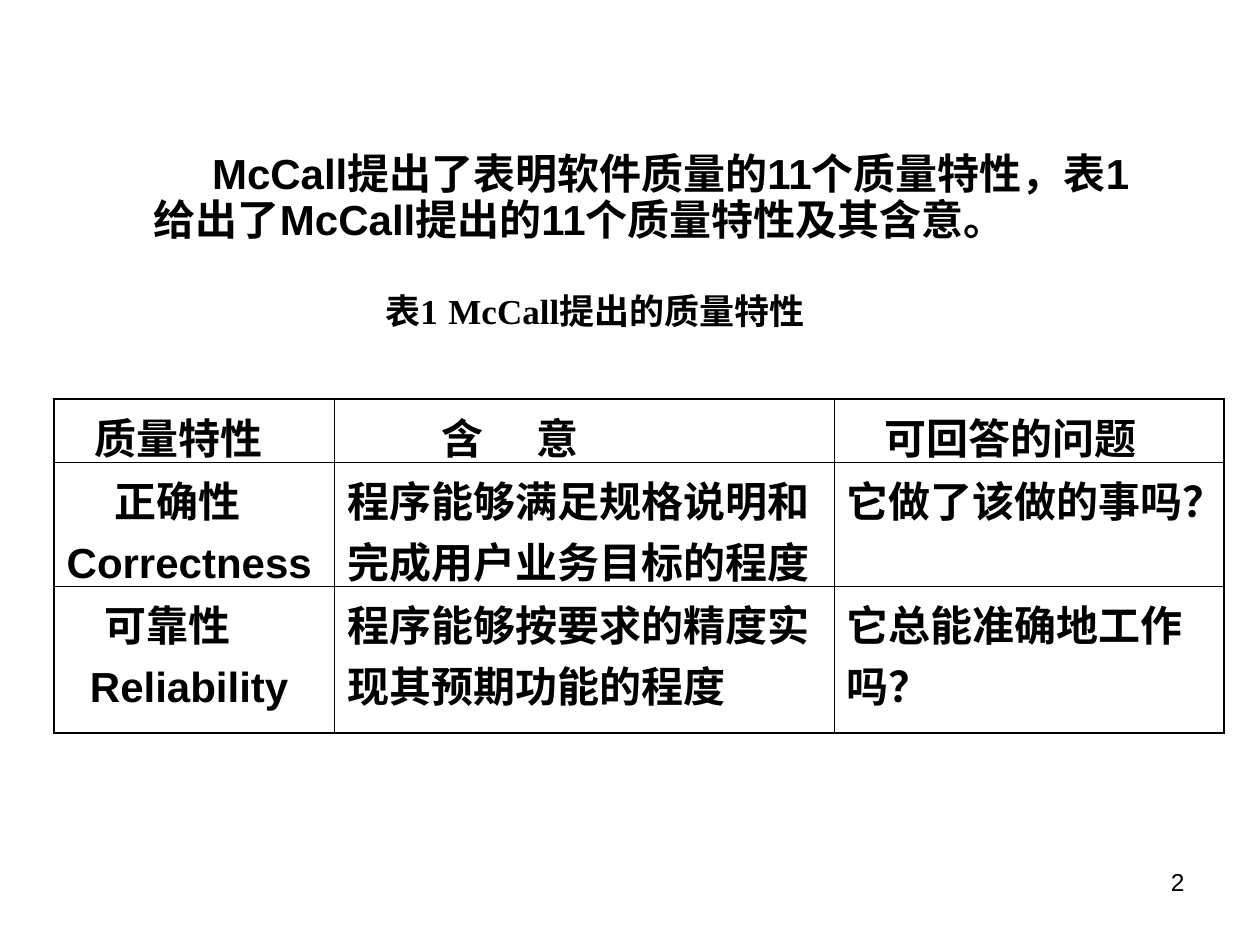
from lxml.etree import SubElement
from pptx import Presentation
from pptx.dml.color import RGBColor
from pptx.enum.text import MSO_ANCHOR, PP_ALIGN
from pptx.oxml.ns import qn
from pptx.util import Cm, Pt

COLORS = {"ink": "000000", "paper": "FFFFFF"}
BODY = {"name": "Arial", "size": Pt(24), "bold": True}
CAPTION = {"name": "Times New Roman", "size": Pt(20), "bold": True}
NUMBER = {"name": "Arial", "size": Pt(14), "bold": False}
THIN, THICK = Pt(0.45), Pt(1.08)

COLUMNS = [5.66, 10.06, 7.87]
ROWS = [1.27, 2.51, 2.95]
CELLS = [
    [[("质量特性", 0.57)], [("含\t意", 1.9)], [("可回答的问题", 0.77)]],
    [[("正确性", 0.97), ("Correctness", 0)],
     [("程序能够满足规格说明和完成用户业务目标的程度", 0)],
     [("它做了该做的事吗？", 0)]],
    [[("可靠性", 0.77), ("Reliability", 0.47)],
     [("程序能够按要求的精度实现其预期功能的程度", 0)],
     [("它总能准确地工作吗？", 0)]],
]


def write(p, text, style, indent=0, margin=0, tab=None):
    pPr = p._p.get_or_add_pPr()
    pPr.set("marL", str(Cm(margin)))
    pPr.set("indent", str(Cm(indent)))
    SubElement(pPr, qn("a:buNone"))
    if tab:
        tabs = SubElement(pPr, qn("a:tabLst"))
        SubElement(tabs, qn("a:tab"), pos=str(Cm(tab)), algn="l")
    r = p.add_run()
    r.text = text
    for key, value in style.items():
        setattr(r.font, key, value)
    r.font.color.rgb = RGBColor.from_string(COLORS["ink"])


def add_intro(s, left, top, width, height):
    sp = s.placeholders[1]
    sp.left, sp.top, sp.width, sp.height = left, top, width, height
    p = sp.text_frame.paragraphs[0]
    write(p, "McCall提出了表明软件质量的11个质量特性，"
          "表1给出了McCall提出的11个质量特性及其含意。",
          BODY, indent=1.17, margin=0.95)
    p.line_spacing = 0.9
    p.space_before = Pt(0)


def add_label(s, left, top, width, height, text, style,
              align=PP_ALIGN.LEFT, tab=None):
    tf = s.shapes.add_textbox(left, top, width, height).text_frame
    tf.word_wrap = True
    p = tf.paragraphs[0]
    write(p, text, style, tab=tab)
    p.alignment = align
    return tf


def set_border(cell, side, width):
    ln = SubElement(cell._tc.get_or_add_tcPr(), qn("a:" + side), w=str(width))
    fill = SubElement(ln, qn("a:solidFill"))
    SubElement(fill, qn("a:srgbClr"), val=COLORS["ink"])


def fill_cell(cell, lines, borders):
    for side, width in borders.items():
        set_border(cell, side, width)
    cell.fill.background()
    cell.vertical_anchor = MSO_ANCHOR.TOP
    tf = cell.text_frame
    for i, (text, indent) in enumerate(lines):
        p = tf.add_paragraph() if i else tf.paragraphs[0]
        write(p, text, BODY, indent, tab=4.74 if "\t" in text else None)
        p.space_before = Pt(6 if i else 0)


def add_quality_table(s, left, top, width, height):
    table = s.shapes.add_table(len(ROWS), len(COLUMNS),
                               left, top, width, height).table
    table.first_row = table.horz_banding = False
    for column, size in zip(table.columns, COLUMNS):
        column.width = int(width * size / sum(COLUMNS))
    for row, size in zip(table.rows, ROWS):
        row.height = int(height * size / sum(ROWS))
    last_row, last_col = len(ROWS) - 1, len(COLUMNS) - 1
    for i, row in enumerate(CELLS):
        for j, lines in enumerate(row):
            edges = {"lnL": j == 0, "lnR": j == last_col,
                     "lnT": i == 0, "lnB": i == last_row}
            borders = {side: THICK if outer else THIN
                       for side, outer in edges.items()}
            fill_cell(table.cell(i, j), lines, borders)


def main():
    prs = Presentation()
    prs.slide_width, prs.slide_height = Cm(25.4), Cm(19.05)
    s = prs.slides.add_slide(prs.slide_layouts[1])
    s.background.fill.solid()
    s.background.fill.fore_color.rgb = RGBColor.from_string(COLORS["paper"])
    title = s.shapes.title._element
    title.getparent().remove(title)

    add_intro(s, Cm(1.9), Cm(2.97), Cm(21.87), Cm(3.05))
    caption = add_label(s, Cm(7.52), Cm(5.72), Cm(9.45), Cm(1.12),
                        "表1\tMcCall提出的质量特性", CAPTION, tab=1.59)
    caption.margin_right = 0
    add_quality_table(s, Cm(1.09), Cm(8.05), Cm(23.59), Cm(6.73))
    add_label(s, Cm(18.21), Cm(17.35), Cm(5.92), Cm(1.32), "2", NUMBER,
              align=PP_ALIGN.RIGHT)
    prs.save("out.pptx")


if __name__ == "__main__":
    main()
